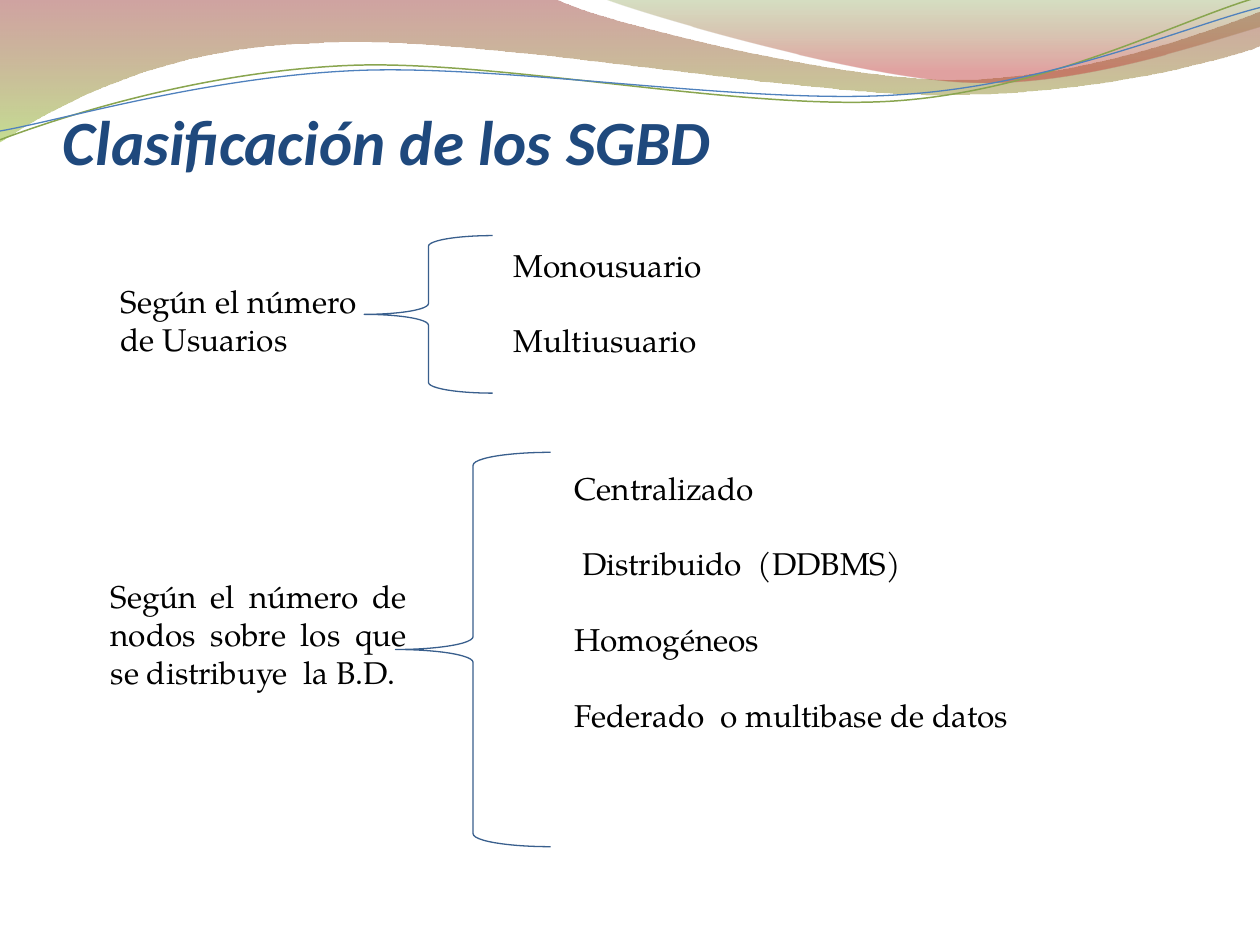
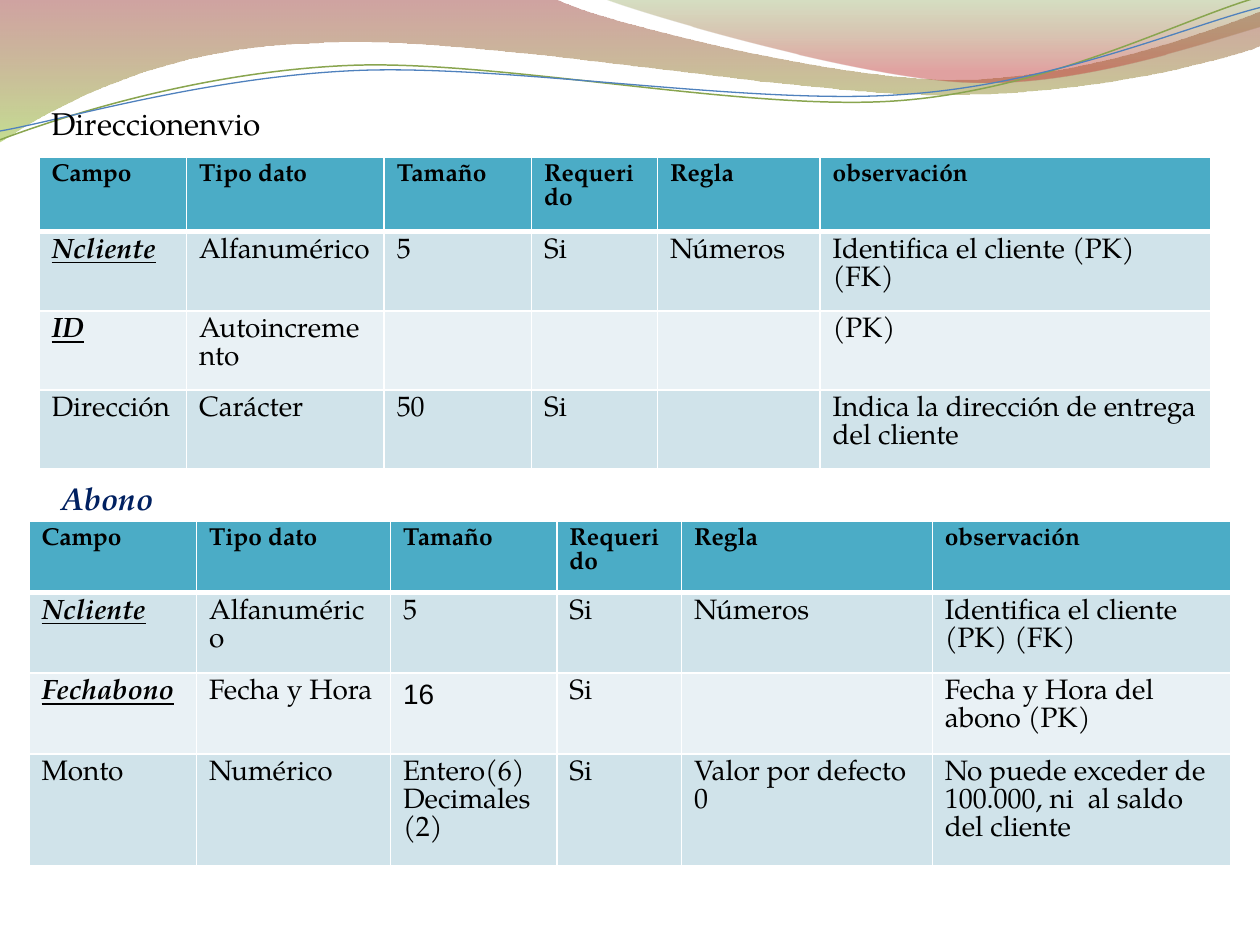
from dataclasses import dataclass

from lxml.etree import SubElement
from pptx import Presentation
from pptx.dml.color import RGBColor as RGB
from pptx.enum.shapes import MSO_SHAPE as Preset
from pptx.enum.text import MSO_ANCHOR as Anchor, PP_ALIGN as Align
from pptx.oxml.ns import qn
from pptx.util import Inches, Pt


@dataclass(frozen=True)
class Theme:
    body: str = "TeX Gyre Pagella"
    heading: str = "Calibri"
    plain: str = "Arial"
    black: str = "000000"
    title_blue: str = "1F497D"
    navy: str = "002060"
    brace: str = "395F8D"
    header: str = "4BACC6"
    bands: tuple = ("D0E3EA", "E9F1F5")
    border: str = "FFFFFF"
    title_size: int = 36
    text_size: int = 18
    header_size: int = 14
    cell_size: int = 16
    blank_line: float = 21.7
    cell_spacing: float = 0.99


T = Theme()

# Font styles: name, size and colour, then any emphasis
def style(name=T.body, size=T.text_size, color=T.black, **emphasis):
    return dict(name=name, size=Pt(size), **emphasis), color


TITLE = style(T.heading, T.title_size, T.title_blue, bold=True, italic=True)
TEXT = style()
ABONO = style(color=T.navy, bold=True, italic=True)
HEADER = style(size=T.header_size, bold=True)
CELL = style(size=T.cell_size)
KEY = style(size=T.cell_size, bold=True, italic=True, underline=True)
PLAIN = style(T.plain, T.cell_size)

# Header waves: start point, then cubic (6 numbers) or straight (2) steps
WAVES = [
    dict(start=(0, 0), closed=True,
         stops=[(0, "973330", 45), (1, "95C238", 55)],
         steps=[(4.4, -0.01), (4.76, 0.17, 6.64, 0.63, 7.58, 0.63),
                (8.53, 0.63, 9.58, 0.26, 10, 0.09), (10.01, 0.36),
                (9.83, 0.44, 8.7, 0.76, 7.46, 0.75),
                (6.22, 0.75, 3.82, 0.28, 2.57, 0.34),
                (1.29, 0.36, 0.46, 0.83, -0.01, 1.13)]),
    dict(start=(4.79, -0.01), closed=True,
         stops=[(0, "769537", 30), (0.8, "BE3330", 45)],
         steps=[(5.09, 0.11, 6.82, 0.62, 7.69, 0.65),
                (8.56, 0.69, 9.61, 0.32, 10, 0.21), (10, 0)]),
    dict(start=(0, 1.11), closed=False, line=("89A54F", 0.85),
         steps=[(0.48, 0.93, 1.58, 0.57, 2.77, 0.52),
                (3.95, 0.47, 5.93, 0.89, 7.13, 0.8),
                (8.33, 0.71, 9.38, 0.15, 9.98, -0.02)]),
    dict(start=(0, 1.04), closed=False, line=("4F81BD", 0.75),
         steps=[(0.47, 0.96, 1.64, 0.61, 2.83, 0.56),
                (4.03, 0.51, 5.97, 0.84, 7.17, 0.75),
                (8.36, 0.67, 9.41, 0.21, 10, 0.06)]),
]

# Slide 1: each criterion opens a brace onto its classes
HEADING = ("Clasificación de los SGBD", (0.5, 0.77, 9, 0.64))
CRITERIA = [
    dict(brace=(2.89, 1.87, 1.02, 1.25),
         classes=["Monousuario", "Multiusuario"],
         classes_box=(3.98, 1.9, 3.36, 0.98),
         criterion="Según el número de Usuarios",
         criterion_box=(0.86, 2.19, 2.11, 0.7), align=Align.LEFT),
    dict(brace=(3.14, 3.59, 1.23, 3.13),
         classes=["Centralizado", " Distribuido  (DDBMS)", "Homogéneos ",
                  "Federado  o multibase de datos"],
         classes_box=(4.46, 3.67, 4.06, 2.52),
         criterion="Según el número de nodos sobre los que "
                   "se distribuye  la B.D.",
         criterion_box=(0.78, 4.53, 2.55, 1.31), align=Align.JUSTIFY),
]

# Slide 2: data dictionary, key fields listed apart
FIELDS = ["Campo", "Tipo dato", "Tamaño", "Requerido", "Regla", "observación"]
KEYS = {"Ncliente", "ID", "Fechabono"}
PLAIN_VALUES = {"16"}
ENTITIES = [
    dict(name="Direccionenvio", name_box=(0.31, 0.78, 7.03, 0.4), font=TEXT,
         corner=(0.31, 1.25), cols=[1.17, 1.57, 1.17, 1, 1.29, 3.1],
         heights=[0.59, 0.55, 0.55, 0.58],
         rows=[["Ncliente", "Alfanumérico", "5", "Si", "Números",
                "Identifica el cliente (PK) (FK)"],
               ["ID", "Autoincremento", "", "", "", "(PK)"],
               ["Dirección", "Carácter", "50", "Si", "",
                "Indica la dirección de entrega del cliente"]]),
    dict(name="Abono", name_box=(0.39, 3.75, 3.05, 0.4), font=ABONO,
         corner=(0.23, 4.14), cols=[1.33, 1.54, 1.32, 0.99, 1.99, 2.37],
         heights=[0.56, 0.64, 0.64, 0.89],
         rows=[["Ncliente", "Alfanumérico", "5", "Si", "Números",
                "Identifica el cliente (PK) (FK)"],
               ["Fechabono", "Fecha y Hora", "16", "Si", "",
                "Fecha y Hora del abono (PK)"],
               ["Monto", "Numérico", "Entero(6) Decimales (2)", "Si",
                "Valor por defecto 0",
                "No puede exceder de 100.000, ni  al saldo del cliente"]]),
]


def apply(target, values):
    for name, value in values.items():
        setattr(target, name, value)


def inches(numbers):
    return [Inches(n) for n in numbers]


def write(paragraph, words, font_style, **layout):
    run = paragraph.add_run()
    run.text = words
    values, color = font_style
    apply(run.font, values)
    run.font.color.rgb = RGB.from_string(color)
    apply(paragraph, layout)


def add_text(slide, box, lines, font_style, frame=None, **layout):
    text = slide.shapes.add_textbox(*inches(box)).text_frame
    apply(text, dict(word_wrap=True, **(frame or {})))
    for i, words in enumerate(lines):
        paragraph = text.add_paragraph() if i else text.paragraphs[0]
        gap = {"space_before": Pt(T.blank_line)} if i else {}
        write(paragraph, words, font_style, **gap, **layout)


def set_line(shape, color, width):
    shape.line.color.rgb = RGB.from_string(color)
    shape.line.width = Pt(width)


def bend(shape, steps):
    """Join the three straight segments of each cubic step into one curve."""
    segments = shape.element.spPr.iter(qn("a:lnTo"))
    segments = iter(list(segments))
    for step in steps:
        group = [next(segments) for _ in range(len(step) // 2)]
        if len(group) == 1:
            continue
        curve = SubElement(group[0].getparent(), qn("a:cubicBezTo"))
        group[0].addprevious(curve)
        for segment in group:
            curve.append(segment[0])
            segment.getparent().remove(segment)


def add_wave(slide, wave):
    points = [inches(step[i:i + 2]) for step in wave["steps"]
              for i in range(0, len(step), 2)]
    builder = slide.shapes.build_freeform(*inches(wave["start"]))
    builder.add_line_segments(points, close=wave["closed"])
    shape = builder.convert_to_shape()
    bend(shape, wave["steps"])
    shape.shadow.inherit = False
    if not wave["closed"]:
        shape.fill.background()
        set_line(shape, *wave["line"])
        return shape
    shape.line.fill.background()
    shape.fill.gradient()
    shape.fill.gradient_angle = 270
    for stop, (position, color, _) in zip(shape.fill.gradient_stops, wave["stops"]):
        stop.position = position
        stop.color.rgb = RGB.from_string(color)
    colors = shape.element.spPr.iter(qn("a:srgbClr"))
    for color, (_, _, opacity) in zip(colors, wave["stops"]):
        SubElement(color, qn("a:alpha"), val=str(opacity * 1000))
    return shape


def add_borders(cell, widths):
    props = cell._tc.get_or_add_tcPr()
    for side, width in zip("LRTB", widths):
        edge = SubElement(props, qn(f"a:ln{side}"), w=str(Pt(width)))
        fill = SubElement(edge, qn("a:solidFill"))
        SubElement(fill, qn("a:srgbClr"), val=T.border)


def cell_style(row, words):
    if row == 0:
        return HEADER
    if words in PLAIN_VALUES:
        return PLAIN
    return KEY if words in KEYS else CELL


def add_entity(slide, entity):
    cols, heights = entity["cols"], entity["heights"]
    box = (*entity["corner"], sum(cols), sum(heights))
    table = slide.shapes.add_table(len(heights), len(cols), *inches(box)).table
    table.horz_banding = False
    for column, width in zip(table.columns, cols):
        column.width = Inches(width)
    for r, values in enumerate([FIELDS] + entity["rows"]):
        table.rows[r].height = Inches(heights[r])
        for c, words in enumerate(values):
            cell = table.cell(r, c)
            add_borders(cell, (1, 1, 3 if r == 1 else 1, 3 if r == 0 else 1))
            cell.fill.solid()
            color = T.bands[(r - 1) % 2] if r else T.header
            cell.fill.fore_color.rgb = RGB.from_string(color)
            font_style = cell_style(r, words)
            spacing = 1.0 if font_style is PLAIN else T.cell_spacing
            paragraph = cell.text_frame.paragraphs[0]
            if words:
                write(paragraph, words, font_style, line_spacing=spacing)
            else:
                paragraph.font.size = Pt(T.cell_size)
    add_text(slide, entity["name_box"], [entity["name"]], entity["font"])


deck = Presentation()
apply(deck, dict(slide_width=Inches(10), slide_height=Inches(7.5)))
layout = deck.slide_layouts[6]
for placeholder in list(layout.placeholders):
    layout.shapes.element.remove(placeholder.element)
classes_slide, dictionary_slide = [deck.slides.add_slide(layout) for _ in range(2)]

# Waves, drawn once and kept on the shared layout
waves = [add_wave(classes_slide, wave) for wave in WAVES]
for wave in waves:
    layout.shapes.element.append(wave.element)

# Slide 1: classification
heading, heading_box = HEADING
add_text(classes_slide, heading_box, [heading], TITLE,
         dict(vertical_anchor=Anchor.BOTTOM, margin_left=0, margin_right=0,
              margin_bottom=0))
for group in CRITERIA:
    brace = classes_slide.shapes.add_shape(Preset.LEFT_BRACE, *inches(group["brace"]))
    brace.shadow.inherit = False
    brace.fill.background()
    set_line(brace, T.brace, 0.75)
    add_text(classes_slide, group["classes_box"], group["classes"], TEXT)
    add_text(classes_slide, group["criterion_box"], [group["criterion"]], TEXT,
             alignment=group["align"])

# Slide 2: data dictionary
for entity in ENTITIES:
    add_entity(dictionary_slide, entity)

deck.save("out.pptx")
